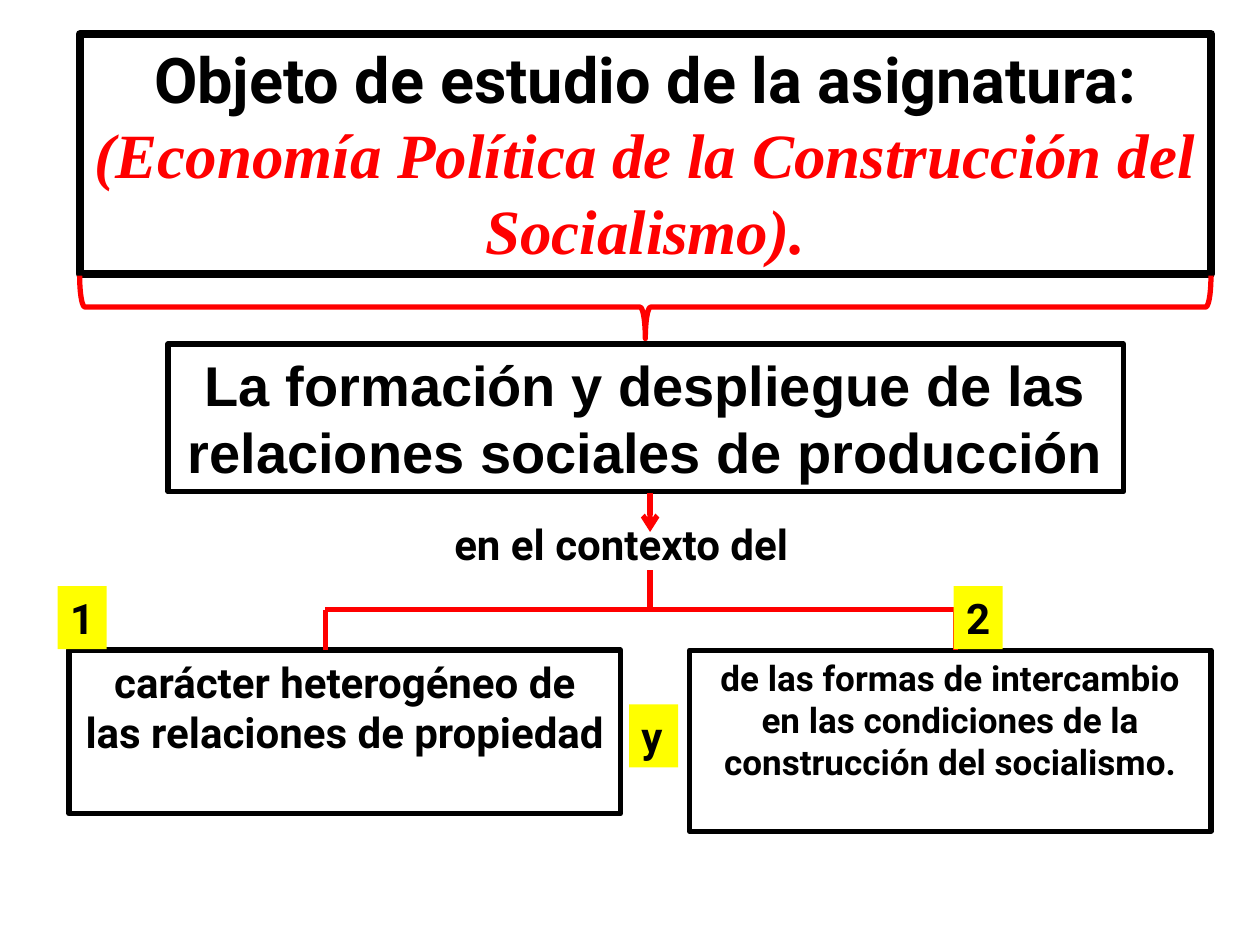
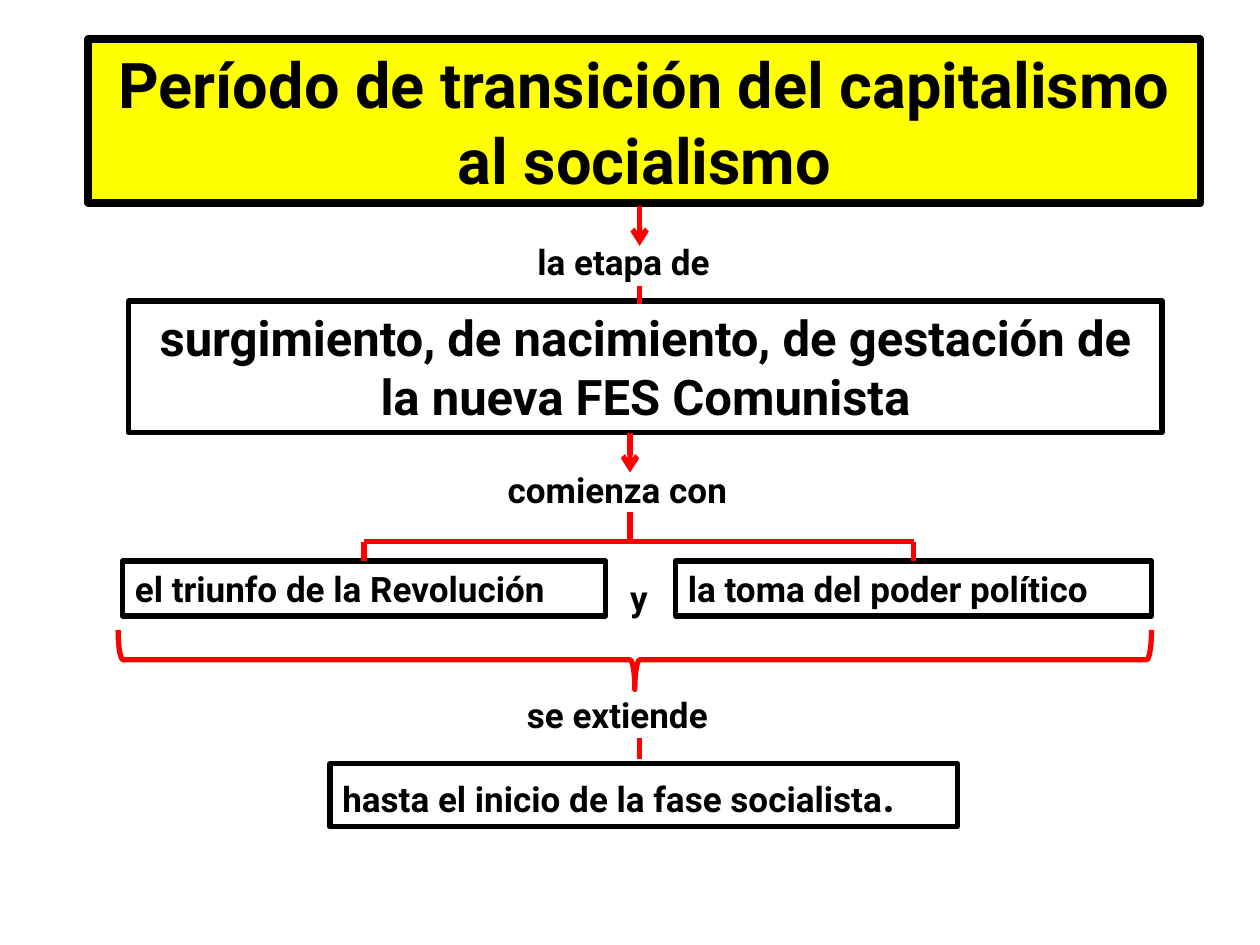
from pptx import Presentation
from pptx.dml.color import RGBColor
from pptx.enum.shapes import MSO_CONNECTOR, MSO_SHAPE
from pptx.enum.text import MSO_ANCHOR, PP_ALIGN
from pptx.oxml.ns import qn
from pptx.util import Pt
from lxml.etree import SubElement

COLORS = {"ink": "000000", "accent": "FF0000", "highlight": "FFFF00"}


def rgb(name):
    return RGBColor.from_string(COLORS[name])


class ConceptMap:
    font = "Roboto"
    line_width = 3
    title_line_width = 4.5

    def __init__(self):
        self.deck = Presentation()
        self.deck.slide_width, self.deck.slide_height = Pt(720), Pt(540)
        self.slide = None

    def new_slide(self):
        self.slide = self.deck.slides.add_slide(self.deck.slide_layouts[6])

    def style_run(self, run, size, font=None, color="ink", italic=False):
        run.font.size = Pt(size)
        run.font.name = font or self.font
        run.font.bold = True
        run.font.italic = italic
        run.font.color.rgb = rgb(color)

    def set_text(self, holder, text, size, font, align):
        frame = holder.text_frame
        frame.text = text
        frame.word_wrap = True
        frame.vertical_anchor = MSO_ANCHOR.TOP
        paragraph = frame.paragraphs[0]
        paragraph.alignment = align
        self.style_run(paragraph.runs[0], size, font)

    def add_text(self, holder, text, size, **style):
        run = holder.text_frame.paragraphs[0].add_run()
        run.text = text
        self.style_run(run, size, **style)

    def box(self, text, left, top, width, height, size, font=None,
            align=PP_ALIGN.CENTER, fill=None, border=line_width):
        box = self.slide.shapes.add_shape(
            MSO_SHAPE.RECTANGLE, Pt(left), Pt(top), Pt(width), Pt(height))
        box.shadow.inherit = False
        if fill:
            box.fill.solid()
            box.fill.fore_color.rgb = rgb(fill)
        else:
            box.fill.background()
        if border:
            box.line.color.rgb = rgb("ink")
            box.line.width = Pt(border)
        else:
            box.line.fill.background()
        self.set_text(box, text, size, font, align)
        return box

    def title(self, text, left, top, width, height, fill=None):
        return self.box(text, left, top, width, height, 36, fill=fill,
                        border=self.title_line_width)

    def badge(self, text, left, top):
        self.box(text, left, top, 28, 36, 24, align=PP_ALIGN.LEFT,
                 fill="highlight", border=None)

    def label(self, text, left, top, width, height=31.5, size=20):
        label = self.slide.shapes.add_textbox(
            Pt(left), Pt(top), Pt(width), Pt(height))
        self.set_text(label, text, size, None, PP_ALIGN.LEFT)

    def line(self, x1, y1, x2, y2, arrow=False):
        line = self.slide.shapes.add_connector(
            MSO_CONNECTOR.STRAIGHT, Pt(x1), Pt(y1), Pt(x2), Pt(y2))
        line.line.color.rgb = rgb("accent")
        line.line.width = Pt(self.line_width)
        properties = line._element.spPr
        if arrow:
            SubElement(properties.find(qn("a:ln")), qn("a:tailEnd"), type="arrow")
        SubElement(properties, qn("a:effectLst"))
        return line

    def arrow(self, x, top):
        self.line(x, top, x, top + 22.5, arrow=True)

    def fork(self, stem_x, stem_top, bar_y, branch_xs, bottom):
        self.line(branch_xs[0], bar_y, branch_xs[1], bar_y)
        self.line(stem_x, stem_top, stem_x, bar_y)
        return [self.line(x, bar_y, x, bottom) for x in branch_xs]

    def brace(self, left, top, span, depth):
        brace = self.slide.shapes.add_shape(
            MSO_SHAPE.RIGHT_BRACE, Pt(left + (span - depth) / 2),
            Pt(top + (depth - span) / 2), Pt(depth), Pt(span))
        brace.rotation = 90
        brace.shadow.inherit = False
        brace.fill.background()
        brace.line.color.rgb = rgb("accent")
        brace.line.width = Pt(self.line_width)


def build_subject(page):
    page.new_slide()
    subject = page.title("Objeto de estudio de la asignatura: ", 45.5, 19.5, 646.5, 137)
    page.add_text(subject, "(Economía Política de la Construcción del Socialismo).", 36,
                  font="Times New Roman", color="accent", italic=True)
    page.brace(45.5, 157.5, 646.5, 36)
    page.box("La formación y despliegue de las relaciones sociales de producción",
             96, 196.5, 546, 84.5, 32, font="Arial")
    page.label("en el contexto del", 252.5, 292.5, 234, 36, 24)
    page.arrow(371.5, 281.5)
    page.box("carácter heterogéneo de las relaciones de propiedad",
             39.5, 371.5, 315, 93.5, 24)
    page.box("de las formas de intercambio en las condiciones de la "
             "construcción del socialismo.", 394, 371.5, 298, 103.5, 20)
    page.fork(371.5, 326, 348.5, (186, 546), 371.5)
    page.badge("2", 545, 335)
    page.badge("1", 33, 335)
    page.badge("y", 359.5, 402.5)


def build_transition(page):
    page.new_slide()
    page.title("Período de transición del capitalismo al socialismo",
               50.5, 22.5, 635.5, 93.5, fill="highlight")
    page.label("la etapa de", 300, 134, 130)
    page.box("surgimiento, de nacimiento, de gestación de la nueva FES Comunista",
             73.5, 172, 590.5, 75, 28)
    page.label("comienza con", 283, 264, 156)
    triumph = page.box("el triunfo de la Revolución", 70, 320.5, 276, 31.5, 20,
                       align=PP_ALIGN.LEFT)
    power = page.box("la toma del poder político", 386, 320.5, 272, 31.5, 20,
                     align=PP_ALIGN.LEFT)
    ending = page.box("hasta el inicio de la fase socialista", 188.5, 436.5, 358.5, 36, 20,
                      align=PP_ALIGN.LEFT)
    page.add_text(ending, ".", 24)
    page.label("y", 353, 326, 26)
    page.label("se extiende", 294, 392.5, 134)
    page.arrow(365.5, 118)
    page.arrow(360, 247.5)
    page.brace(67.5, 360, 590.5, 34)
    page.line(365.5, 163.5, 365.5, 174)
    branches = page.fork(360, 292.5, 309.5, (208, 522), 320.5)
    for branch, cause in zip(branches, (triumph, power)):
        branch.end_connect(cause, 0)
    page.line(365.5, 422, 365.5, 433.5)


def main():
    page = ConceptMap()
    build_subject(page)
    build_transition(page)
    page.deck.save("out.pptx")


if __name__ == "__main__":
    main()
